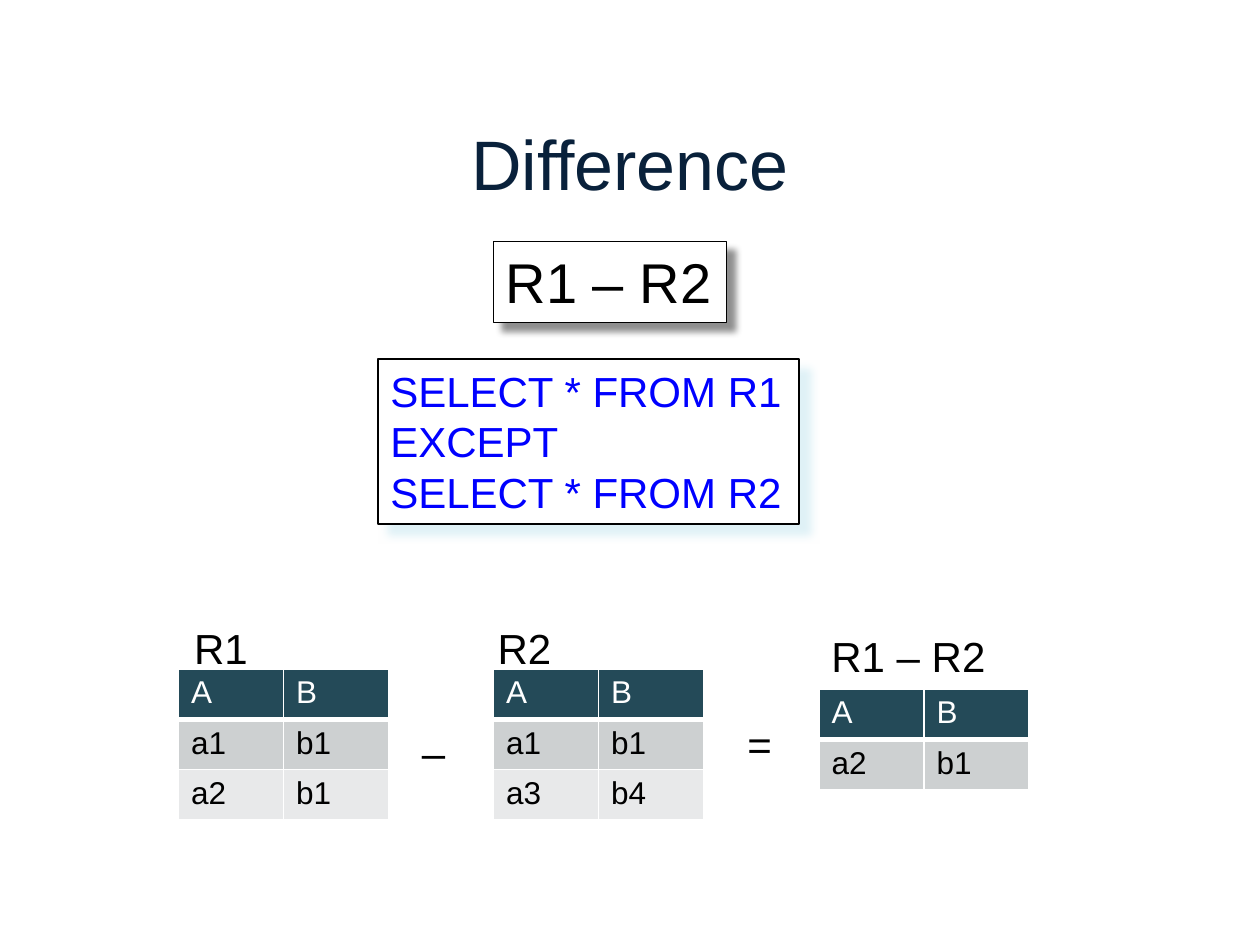
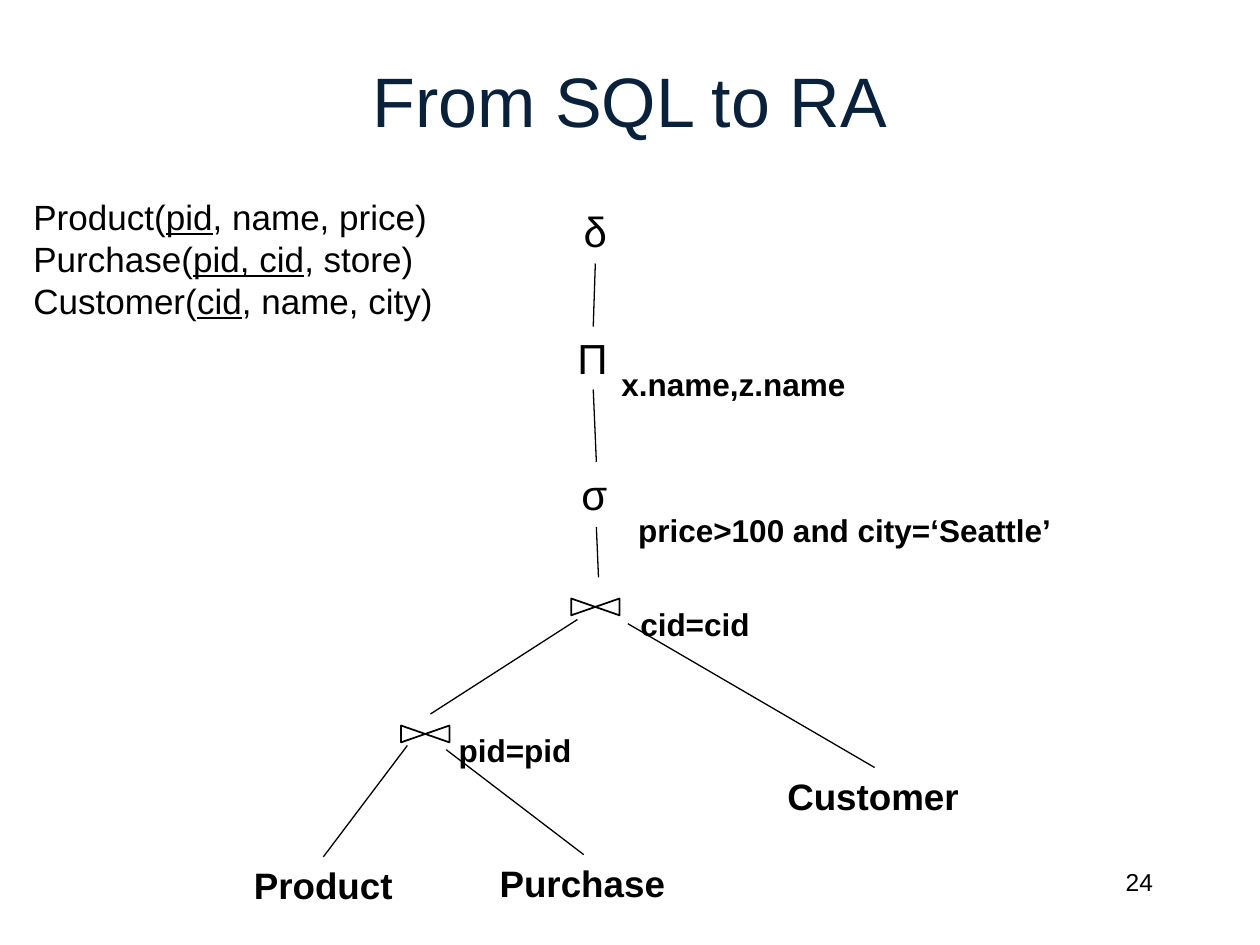
from dataclasses import dataclass
from lxml.etree import SubElement
from pptx import Presentation
from pptx.dml.color import RGBColor
from pptx.enum.shapes import MSO_CONNECTOR as Connector, MSO_SHAPE as Preset
from pptx.enum.text import MSO_ANCHOR as Anchor, MSO_AUTO_SIZE as Fit, PP_ALIGN as Align
from pptx.oxml.ns import qn
from pptx.util import Inches, Pt


@dataclass(frozen=True)
class Theme:
    font: str = "Arial"
    navy: str = "09213B"
    ink: str = "000000"
    paper: str = "FFFFFF"
    code: str = "0000FF"
    glow: str = "D5EDF4"
    header: str = "244A58"
    bands: tuple = ("CDD0D1", "E8E9EA")
    title: int = 40
    formula: int = 32
    symbol: int = 24
    relation: int = 21
    schema: int = 20
    small: int = 18
    number: int = 14


THEME = Theme()
COLUMNS, ROWS = 120, 90
UNIT = Inches(10) / COLUMNS
CELL = (10, 4.8)
BOWTIE = (4.6, 1.6)
TITLE_SIZE = (102, 15)

DIFFERENCE = {
    "title": ("Difference", 8),
    "cards": [
        (["R1 – R2"], (47, 23, 22.2, 7.7), THEME.formula, THEME.ink, 0.75,
         (THEME.ink, 43, 4, 7)),
        (["SELECT * FROM R1", "EXCEPT", "SELECT * FROM R2"], (36, 34.2, 40.1, 15.7),
         THEME.symbol, THEME.code, 1, (THEME.glow, 75, 5, 8.5)),
    ],
    "tables": [
        ((17, 63.7), ["AB", ("a1", "b1"), ("a2", "b1")]),
        ((47, 63.7), ["AB", ("a1", "b1"), ("a3", "b4")]),
        ((78, 65.6), ["AB", ("a2", "b1")]),
    ],
    "labels": [
        ("R1", (17.3, 58.7, 7.6, 6)),
        ("R2", (46.2, 58.7, 7.6, 6)),
        ("R1 – R2", (78, 59.5, 17.3, 6)),
        ("–", (39, 68.6, 4.7, 6)),
        ("=", (70, 67.8, 4.8, 6)),
    ],
}

ALGEBRA = {
    "title": ("From SQL to RA", 2),
    "schema": [("Product(", "pid", ", name, price)"),
               ("Purchase(", "pid, cid", ", store)"),
               ("Customer(", "cid", ", name, city)")],
    "schema_place": (2, 18, 40.8, 13.3),
    "operators": [("δ", (54.4, 19, 4.7, 6.1)),
                  ("Π", (53.8, 31.1, 5.4, 6)),
                  ("σ", (54.2, 44, 4.9, 6))],
    "conditions": [("x.name,z.name", (58, 34.2, 24, 4.8)),
                   ("price>100 and city=‘Seattle’", (59.6, 48.1, 42.2, 4.8)),
                   ("cid=cid", (59.8, 57, 13, 4.8)),
                   ("pid=pid", (42.5, 69, 13.3, 4.8))],
    "relations": [("Product", (23, 81.6, 15.8, 5.4)),
                  ("Purchase", (46.4, 81.4, 18.4, 5.4)),
                  ("Customer", (73.8, 73.1, 19, 5.4))],
    "joins": [(54.4, 57), (38.2, 69.1)],
    "branches": [(56.5, 31.1, 56.7, 25.1), (56.8, 44, 56.5, 37.1),
                 (57, 55, 56.8, 50.2), (41, 68, 55, 59),
                 (83.3, 73.1, 59.8, 59.4), (30.8, 81.6, 38.8, 71),
                 (55.6, 81.4, 42.5, 71.4)],
    "number": ("24", (86, 82, 25, 6)),
}


def grid(*lengths):
    return [round(length * UNIT) for length in lengths]


def assign(target, values):
    for name, value in values.items():
        setattr(target, name, value)


def write(frame, lines, size, color=THEME.ink, bold=False, align=Align.LEFT, **layout):
    assign(frame, layout)
    for index, line in enumerate(lines):
        para = frame.paragraphs[0] if index == 0 else frame.add_paragraph()
        para.alignment = align
        for position, words in enumerate([line] if isinstance(line, str) else line):
            span = para.add_run()
            span.text = words
            assign(span.font, {"name": THEME.font, "size": Pt(size), "bold": bold,
                               "underline": position % 2 == 1})
            span.font.color.rgb = RGBColor.from_string(color)


def add_text(page, lines, place, size, wrap=False, **style):
    box = page.shapes.add_textbox(*grid(*place))
    fit = Fit.NONE if wrap else Fit.SHAPE_TO_FIT_TEXT
    write(box.text_frame, lines, size, word_wrap=wrap, auto_size=fit, **style)


def add_labels(page, labels, size, bold=False):
    for words, place in labels:
        add_text(page, [words], place, size, bold=bold)


def outline(shape, width):
    shape.line.color.rgb = RGBColor.from_string(THEME.ink)
    shape.line.width = Pt(width)


def add_color(parent, color):
    return SubElement(parent, qn("a:srgbClr"), val=color)


def add_card(page, lines, place, size, color, width, shadow):
    card = page.shapes.add_shape(Preset.RECTANGLE, *grid(*place))
    card.fill.solid()
    card.fill.fore_color.rgb = RGBColor.from_string(THEME.paper)
    outline(card, width)
    card.shadow.inherit = False
    tint, opacity, blur, distance = shadow
    effects = card._element.spPr.find(qn("a:effectLst"))
    outer = SubElement(effects, qn("a:outerShdw"), blurRad=str(Pt(blur)),
                       dist=str(Pt(distance)), dir=str(45 * 60000),
                       algn="tl", rotWithShape="0")
    SubElement(add_color(outer, tint), qn("a:alpha"), val=str(opacity * 1000))
    write(card.text_frame, lines, size, color, word_wrap=False,
          auto_size=Fit.SHAPE_TO_FIT_TEXT, vertical_anchor=Anchor.TOP)


def add_borders(cell, row):
    properties = cell._tc.get_or_add_tcPr()
    widths = {"L": 1, "R": 1, "T": 3 if row == 1 else 1, "B": 3 if row == 0 else 1}
    for side, width in widths.items():
        edge = SubElement(properties, qn(f"a:ln{side}"), w=str(Pt(width)))
        add_color(SubElement(edge, qn("a:solidFill")), THEME.paper)


def add_relation_table(page, corner, rows):
    count = len(rows[0])
    size = (CELL[0] * count, CELL[1] * len(rows))
    table = page.shapes.add_table(len(rows), count, *grid(*corner, *size)).table
    for row, values in enumerate(rows):
        fill = THEME.bands[(row - 1) % 2] if row else THEME.header
        for column, value in enumerate(values):
            cell = table.cell(row, column)
            add_borders(cell, row)
            cell.fill.solid()
            cell.fill.fore_color.rgb = RGBColor.from_string(fill)
            write(cell.text_frame, [value], THEME.small,
                  THEME.ink if row else THEME.paper)


def add_join(page, left, top):
    right, bottom = left + BOWTIE[0], top + BOWTIE[1]
    builder = page.shapes.build_freeform(*grid(left, top))
    corners = [(right, bottom), (right, top), (left, bottom)]
    builder.add_line_segments([grid(*corner) for corner in corners], close=True)
    bowtie = builder.convert_to_shape()
    bowtie.fill.background()
    outline(bowtie, 1)
    bowtie.shadow.inherit = False


def add_branch(page, ends):
    branch = page.shapes.add_connector(Connector.STRAIGHT, *grid(*ends))
    outline(branch, 0.75)
    SubElement(branch._element.spPr, qn("a:effectLst"))


def add_page(deck, title, top):
    page = deck.slides.add_slide(deck.slide_layouts[6])
    left = (COLUMNS - TITLE_SIZE[0]) / 2
    add_text(page, [title], (left, top, *TITLE_SIZE), THEME.title, wrap=True,
             color=THEME.navy, align=Align.CENTER, vertical_anchor=Anchor.MIDDLE)
    return page


def build_difference(deck):
    page = add_page(deck, *DIFFERENCE["title"])
    for card in DIFFERENCE["cards"]:
        add_card(page, *card)
    for table in DIFFERENCE["tables"]:
        add_relation_table(page, *table)
    add_labels(page, DIFFERENCE["labels"], THEME.symbol)


def build_algebra(deck):
    page = add_page(deck, *ALGEBRA["title"])
    add_text(page, ALGEBRA["schema"], ALGEBRA["schema_place"], THEME.schema)
    for corner in ALGEBRA["joins"]:
        add_join(page, *corner)
    for ends in ALGEBRA["branches"]:
        add_branch(page, ends)
    add_labels(page, ALGEBRA["operators"], THEME.symbol)
    add_labels(page, ALGEBRA["conditions"], THEME.small, bold=True)
    add_labels(page, ALGEBRA["relations"], THEME.relation, bold=True)
    number, place = ALGEBRA["number"]
    add_text(page, [number], place, THEME.number, wrap=True, align=Align.RIGHT)


def main():
    deck = Presentation()
    assign(deck, {"slide_width": round(COLUMNS * UNIT), "slide_height": round(ROWS * UNIT)})
    build_difference(deck)
    build_algebra(deck)
    deck.save("out.pptx")


if __name__ == "__main__":
    main()
